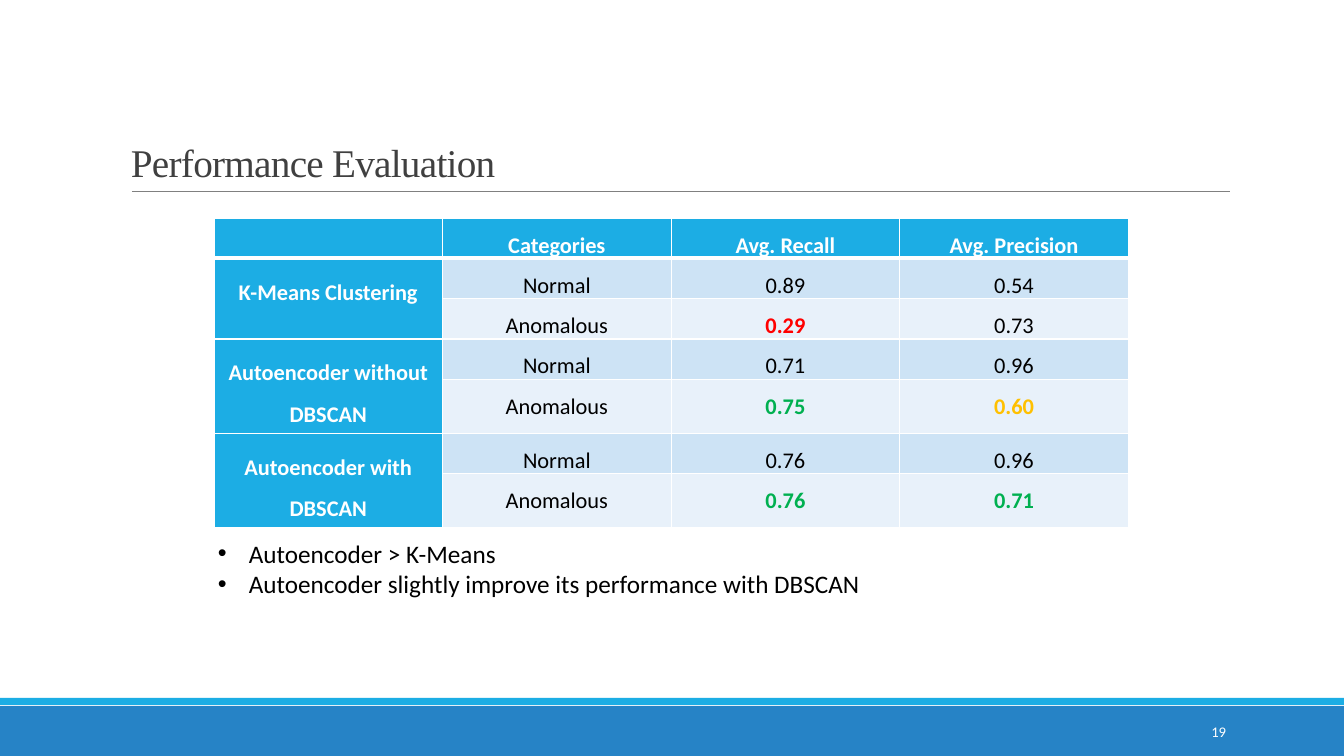
from lxml import etree
from pptx import Presentation
from pptx.dml.color import RGBColor
from pptx.enum.shapes import MSO_CONNECTOR, MSO_SHAPE
from pptx.enum.text import MSO_ANCHOR, PP_ALIGN
from pptx.oxml.ns import qn
from pptx.util import Emu, Pt

# Content
TITLE = "Performance Evaluation"
HEADERS = ["", "Categories", "Avg. Recall", "Avg. Precision"]
# method, then (category, recall, precision); a value may carry a colour
METHODS = [
    ("K-Means Clustering",
     [("Normal", "0.89", "0.54"), ("Anomalous", ("0.29", "bad"), "0.73")]),
    ("Autoencoder without\nDBSCAN",
     [("Normal", "0.71", "0.96"),
      ("Anomalous", ("0.75", "good"), ("0.60", "fair"))]),
    ("Autoencoder with DBSCAN",
     [("Normal", "0.76", "0.96"),
      ("Anomalous", ("0.76", "good"), ("0.71", "good"))]),
]
FINDINGS = ["Autoencoder > K-Means",
            "Autoencoder slightly improve its performance with DBSCAN"]
PAGE = "19"

# Format
COLORS = {"footer": "2683C6", "accent": "1CADE4", "rule": "808080",
          "title": "404040", "white": "FFFFFF", "black": "000000",
          "normal": "CDE3F5", "anomalous": "E8F1FA",
          "bad": "FF0000", "good": "00B050", "fair": "FFC000"}
BODY, SERIF = "Calibri", "Times New Roman"
TOP, MIDDLE, BOTTOM = MSO_ANCHOR.TOP, MSO_ANCHOR.MIDDLE, MSO_ANCHOR.BOTTOM
LEFT, CENTER, RIGHT = PP_ALIGN.LEFT, PP_ALIGN.CENTER, PP_ALIGN.RIGHT
SLIDE_W, SLIDE_H = 1344, 756
COL_W = 2286 / 10
ROW_HEIGHTS = [37, 37, 37, 37, 41, 37, 41]
INDENT = 31


def px(n):
    return Emu(round(n * 914400 / 100.8))


def rgb(name):
    return RGBColor.from_string(COLORS[name])


def style(font, size, color, name=BODY, bold=False):
    values = {"size": Pt(size), "name": name, "bold": bold}
    for key, value in values.items():
        setattr(font, key, value)
    font.color.rgb = rgb(color)


def add_text(slide, box, lines, size, color, name=BODY, anchor=TOP, align=LEFT):
    frame = slide.shapes.add_textbox(*map(px, box)).text_frame
    frame.word_wrap = True
    frame.vertical_anchor = anchor
    frame.text = "\n".join(lines)
    for paragraph in frame.paragraphs:
        paragraph.alignment = align
        for run in paragraph.runs:
            style(run.font, size, color, name)
    return frame


def add_bar(slide, top, height, color):
    bar = slide.shapes.add_shape(MSO_SHAPE.RECTANGLE, 0, px(top),
                                 px(SLIDE_W), px(height))
    bar.shadow.inherit = False
    bar.fill.solid()
    bar.fill.fore_color.rgb = rgb(color)
    bar.line.fill.background()


def add_borders(cell, widths):
    properties = cell._tc.get_or_add_tcPr()
    for side, width in widths.items():
        line = etree.SubElement(properties, qn(f"a:ln{side}"), w=str(Pt(width)))
        fill = etree.SubElement(line, qn("a:solidFill"))
        etree.SubElement(fill, qn("a:srgbClr"), val=COLORS["white"])


def fill_cell(cell, text, fill, color, bold, margins=(10, 0), bottom=1):
    add_borders(cell, {"L": 1, "R": 1, "T": 1, "B": bottom})
    cell.fill.solid()
    cell.fill.fore_color.rgb = rgb(fill)
    cell.margin_left = cell.margin_right = px(margins[0])
    cell.margin_top = cell.margin_bottom = px(margins[1])
    cell.text = text
    for paragraph in cell.text_frame.paragraphs:
        paragraph.alignment = CENTER
        paragraph.line_spacing = 1.5
        style(paragraph.font, 16, color, bold=bold)
        for run in paragraph.runs:
            style(run.font, 16, color, bold=bold)


def add_results(slide):
    table = slide.shapes.add_table(
        len(ROW_HEIGHTS), len(HEADERS), px(214), px(218),
        px(COL_W * len(HEADERS)), px(sum(ROW_HEIGHTS))).table
    for column in table.columns:
        column.width = px(COL_W)
    for row, height in zip(table.rows, ROW_HEIGHTS):
        row.height = px(height)
    for col, header in enumerate(HEADERS):
        fill_cell(table.cell(0, col), header, "accent", "white", True, bottom=3)
    for group, (method, results) in enumerate(METHODS):
        first = 1 + group * len(results)
        last = first + len(results) - 1
        table.cell(first, 0).merge(table.cell(last, 0))
        for row, result in enumerate(results, first):
            fill_cell(table.cell(row, 0), method if row == first else "",
                      "accent", "white", True, margins=(14, 7))
            for col, value in enumerate(result, 1):
                marked = isinstance(value, tuple)
                text, color = value if marked else (value, "black")
                fill_cell(table.cell(row, col), text, result[0].lower(),
                          color, marked)


def main():
    prs = Presentation()
    prs.slide_width, prs.slide_height = px(SLIDE_W), px(SLIDE_H)
    slide = prs.slides.add_slide(prs.slide_layouts[6])

    # Footer bars and title rule
    add_bar(slide, 706, 50, "footer")
    add_bar(slide, 698, 7, "accent")
    rule = slide.shapes.add_connector(MSO_CONNECTOR.STRAIGHT, px(132), px(191),
                                      px(1230), px(191))
    rule.line.color.rgb = rgb("rule")
    rule.line.width = Pt(0.5)
    etree.SubElement(rule._element.spPr, qn("a:effectLst"))

    # Title
    title = add_text(slide, (121, 31, 1109, 160), [TITLE], 28, "title",
                     SERIF, BOTTOM).paragraphs[0]
    title.line_spacing = 0.85
    title.runs[0].font._element.set("spc", "-50")

    # Results table
    add_results(slide)

    # Page number
    add_text(slide, (1092, 712, 144, 40), [PAGE], 10.5, "white",
             anchor=MIDDLE, align=RIGHT)

    # Findings
    findings = add_text(slide, (208, 533, 937, 72), FINDINGS, 18, "black")
    for paragraph in findings.paragraphs:
        properties = paragraph._p.get_or_add_pPr()
        properties.set("marL", str(px(INDENT)))
        properties.set("indent", str(px(-INDENT)))
        etree.SubElement(properties, qn("a:buFont"), typeface="Arial")
        etree.SubElement(properties, qn("a:buChar"), char="•")

    prs.save("out.pptx")


if __name__ == "__main__":
    main()
